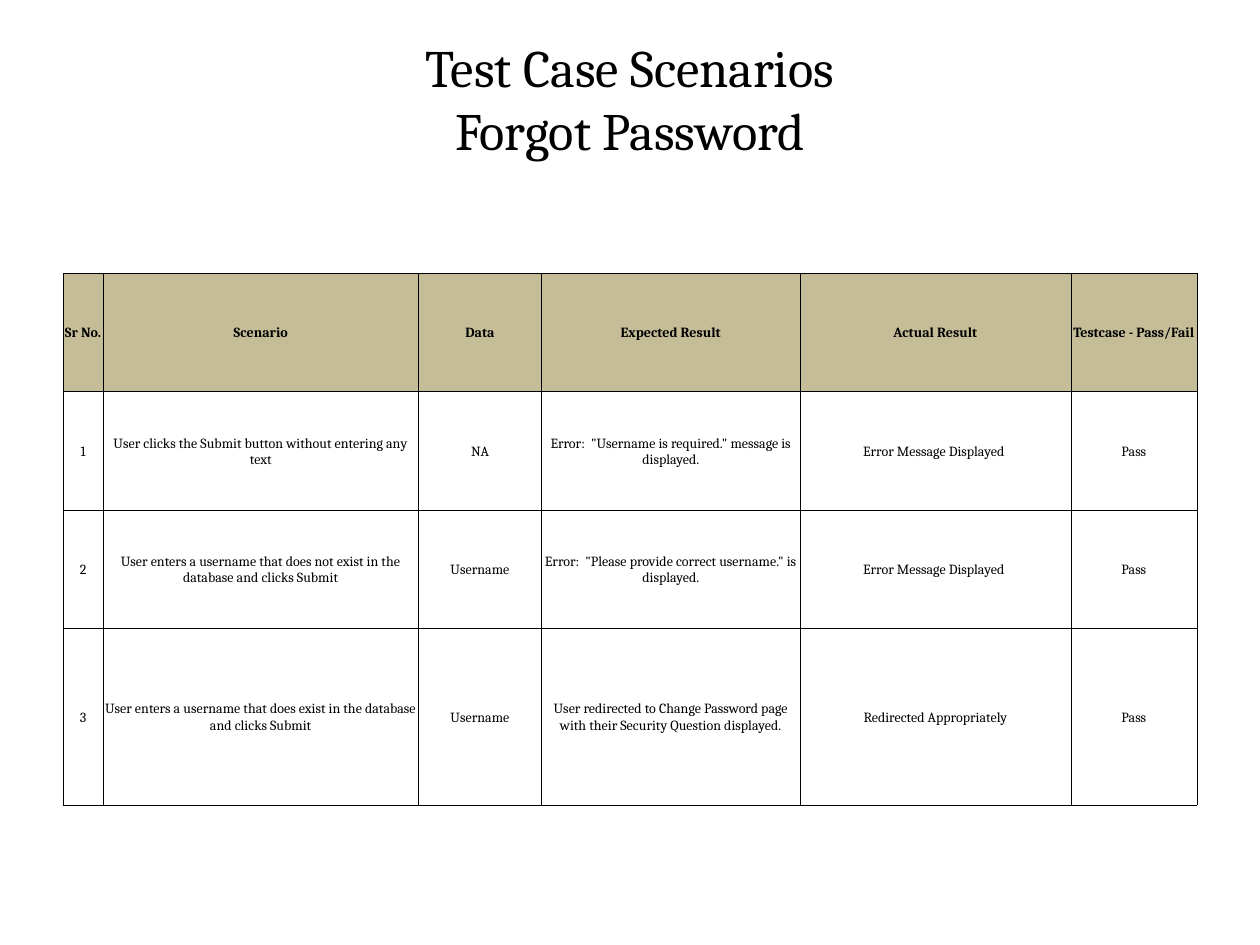
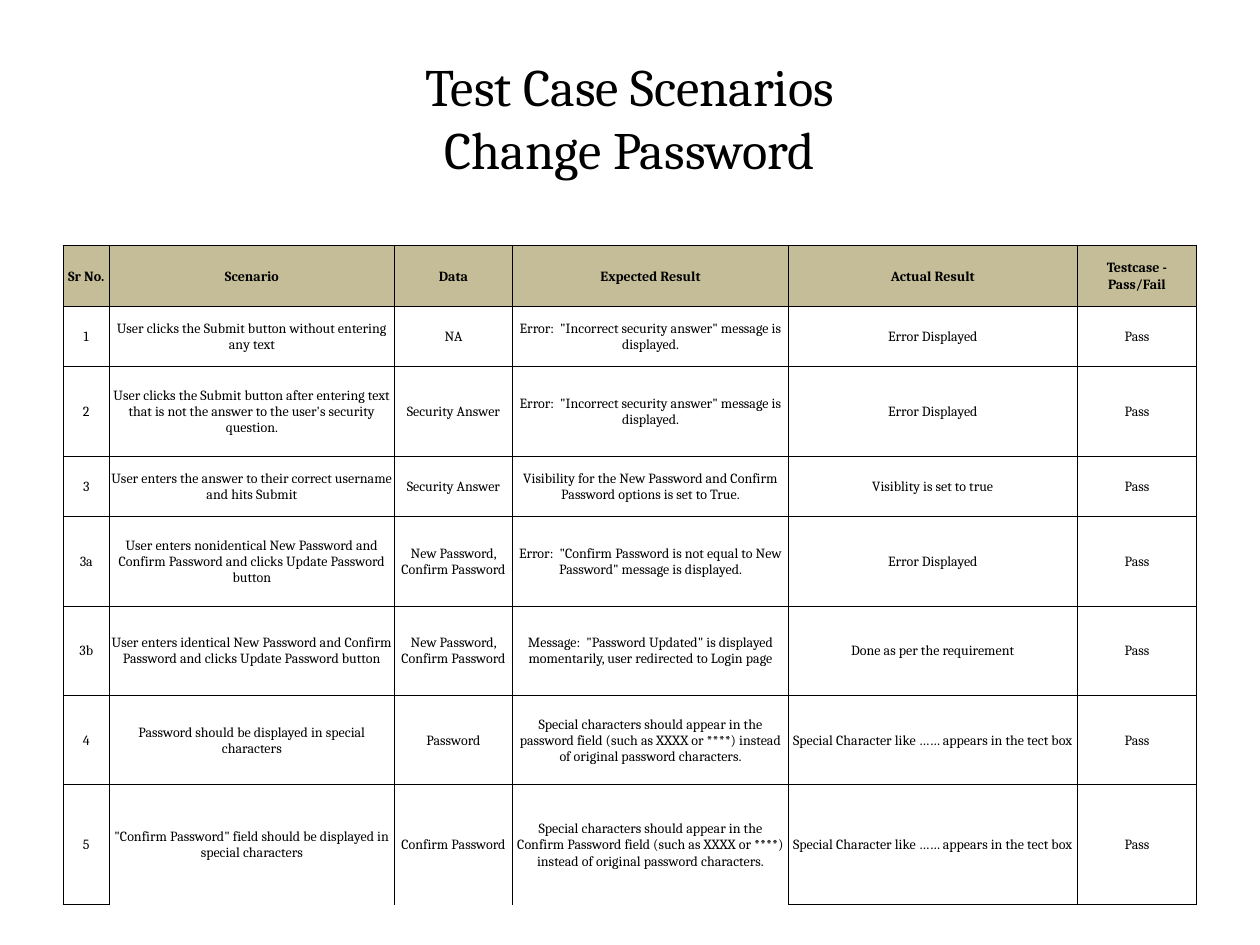
"""Build two slides of password test case tables."""
import pptx
import pptx.util
import pptx.dml.color
import pptx.enum.text
import pptx.oxml.ns
import lxml.etree

Inches = pptx.util.Inches
Pt = pptx.util.Pt
qn = pptx.oxml.ns.qn
BLACK = pptx.dml.color.RGBColor(0x00, 0x00, 0x00)
TAN = pptx.dml.color.RGBColor(0xC4, 0xBD, 0x97)
MIDDLE = pptx.enum.text.MSO_ANCHOR.MIDDLE
CENTER = pptx.enum.text.PP_ALIGN.CENTER

FONTS = {
    "title": {"name": "Cambria", "size": Pt(30), "bold": False},
    "head": {"name": "Cambria", "size": Pt(8), "bold": True},
    "body": {"name": "Cambria", "size": Pt(8), "bold": False},
}
CELL = {
    "vertical_anchor": MIDDLE,
    "margin_left": Inches(0.01),
    "margin_right": Inches(0.01),
    "margin_top": Inches(0.01),
    "margin_bottom": 0,
}
FRAME = {"word_wrap": True, "vertical_anchor": MIDDLE}
PLAIN = {"first_row": False, "horz_banding": False}
HEADS = ["Sr No.", "Scenario", "Data", "Expected Result", "Actual Result",
         "Testcase - Pass/Fail"]
WRONG = 'Error:  "Incorrect security answer" message is displayed.'
PAIR = "New Password, Confirm Password"
DOTS = "Special Character like …… appears in the tect box"
MASK = ("Special characters should appear in the {} field (such as XXXX or ****) "
        "instead of original password characters.")

PAGES = [
    {
        "name": "Forgot Password",
        "tall": 0.95,
        "top": 2.17,
        "wide": [0.32, 2.5, 0.98, 2.05, 2.15, 1],
        "high": [0.94, 0.94, 0.94, 1.4],
        "open": [],
        "cases": [
            ["1", "User clicks the Submit button without entering any text", "NA",
             'Error:  "Username is required." message is displayed.',
             "Error Message Displayed "],
            ["2", "User enters a username that does not exist in the database "
             "and clicks Submit", "Username",
             'Error:  "Please provide correct username." is displayed.',
             "Error Message Displayed "],
            ["3", "User enters a username that does exist in the database "
             "and clicks Submit", "Username",
             "User redirected to Change Password page with their Security "
             "Question displayed.", "Redirected Appropriately"],
        ],
    },
    {
        "name": "Change Password",
        "tall": 1.25,
        "top": 1.95,
        "wide": [0.37, 2.26, 0.94, 2.19, 2.29, 0.95],
        "high": [0.48, 0.48, 0.71, 0.48, 0.71, 0.71, 0.71, 0.95],
        "open": [(7, 1), (7, 2), (7, 3)],
        "cases": [
            ["1", "User clicks the Submit button without entering any text", "NA",
             WRONG, "Error Displayed"],
            ["2", "User clicks the Submit button after entering text that is not "
             "the answer to the user's security question.", "Security Answer",
             WRONG, "Error Displayed"],
            ["3", "User enters the answer to their correct username and hits Submit",
             "Security Answer", "Visibility for the New Password and Confirm "
             "Password options is set to True.", "Visiblity is set to true"],
            ["3a", "User enters nonidentical New Password and Confirm Password "
             "and clicks Update Password button", PAIR,
             'Error:  "Confirm Password is not equal to New Password" message '
             "is displayed.", "Error Displayed"],
            ["3b", "User enters identical New Password and Confirm Password "
             "and clicks Update Password button", PAIR,
             'Message:  "Password Updated" is displayed momentarily, user '
             "redirected to Login page", "Done as per the requirement"],
            ["4", "Password should be displayed in special characters", "Password",
             MASK.format("password"), DOTS],
            ["5", '"Confirm Password" field should be displayed in special '
             "characters", "Confirm Password", MASK.format("Confirm Password"),
             DOTS],
        ],
    },
]


def write(frame, text, style):
    para = frame.paragraphs[0]
    para.text = text
    para.alignment = CENTER
    para.font.color.rgb = BLACK
    for run in para.runs:
        run.font.color.rgb = BLACK
        for key, value in FONTS[style].items():
            setattr(run.font, key, value)


def edge(cell, bare):
    props = cell._tc.get_or_add_tcPr()
    for side in ("lnL", "lnR", "lnT", "lnB"):
        line = lxml.etree.SubElement(props, qn("a:" + side), w=str(Pt(0.5)))
        if bare and side == "lnB":
            lxml.etree.SubElement(line, qn("a:noFill"))
        else:
            fill = lxml.etree.SubElement(line, qn("a:solidFill"))
            lxml.etree.SubElement(fill, qn("a:srgbClr"), val=str(BLACK))


deck = pptx.Presentation()
deck.slide_width = Inches(10)
deck.slide_height = Inches(7.5)

for page in PAGES:
    slide = deck.slides.add_slide(deck.slide_layouts[6])
    box = slide.shapes.add_textbox(
        Inches(0.5), Inches(0.3), Inches(9), Inches(page["tall"]))
    for key, value in FRAME.items():
        setattr(box.text_frame, key, value)
    write(box.text_frame, "Test Case Scenarios\v" + page["name"], "title")

    rows = [HEADS] + [case + ["Pass"] for case in page["cases"]]
    table = slide.shapes.add_table(
        len(rows), len(HEADS), Inches(0.5), Inches(page["top"]),
        Inches(9), Inches(sum(page["high"]))).table
    for key, value in PLAIN.items():
        setattr(table, key, value)
    for col, width in zip(table.columns, page["wide"]):
        col.width = Inches(width)
    for row, height in zip(table.rows, page["high"]):
        row.height = Inches(height)

    for r, row in enumerate(rows):
        for c, text in enumerate(row):
            cell = table.cell(r, c)
            for key, value in CELL.items():
                setattr(cell, key, value)
            write(cell.text_frame, text, "body" if r else "head")
            edge(cell, (r, c) in page["open"])
            if r:
                cell.fill.background()
            else:
                cell.fill.solid()
                cell.fill.fore_color.rgb = TAN

deck.save("out.pptx")
